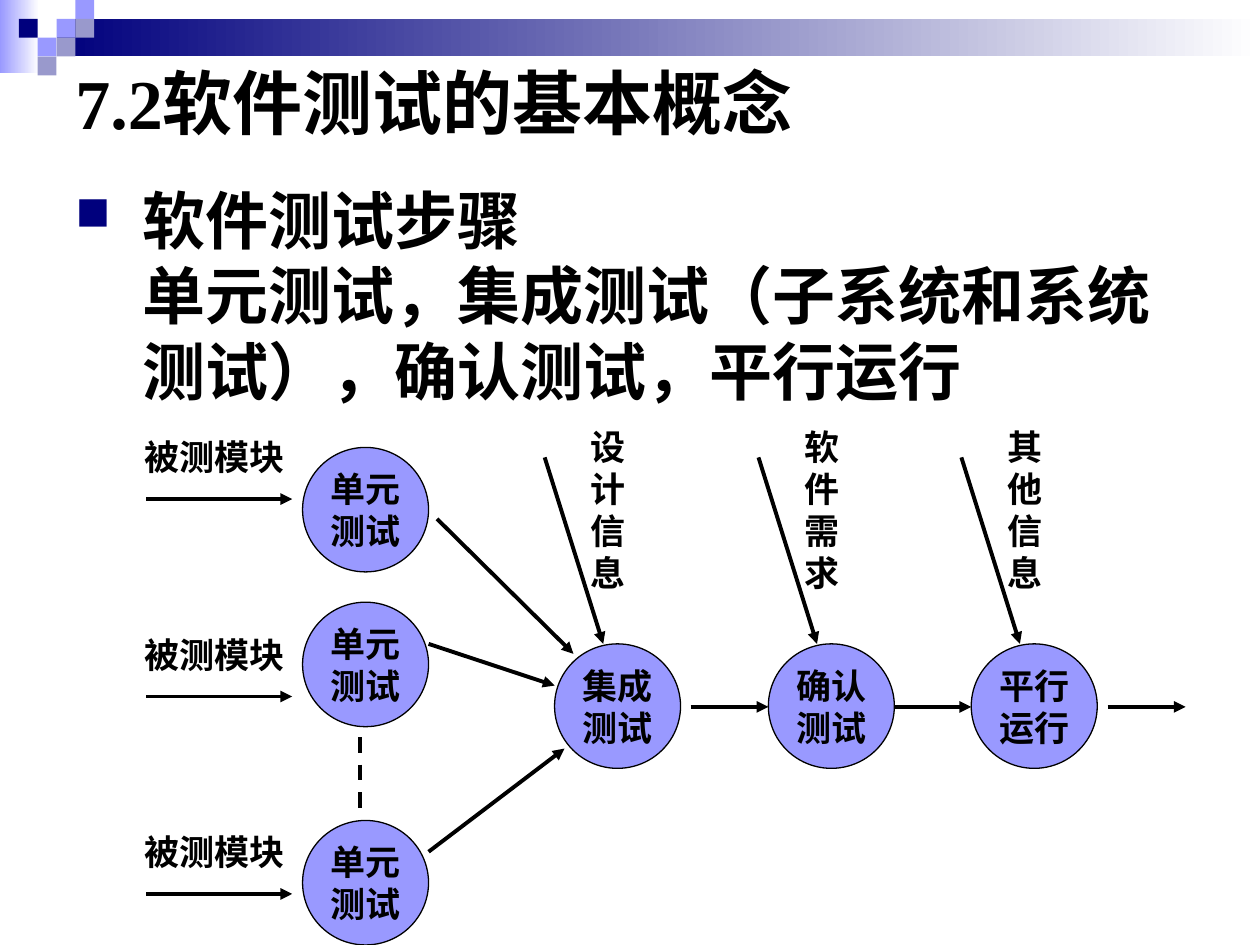
from dataclasses import dataclass

from lxml.etree import SubElement
from pptx import Presentation
from pptx.dml.color import RGBColor as Rgb
from pptx.enum.dml import MSO_LINE as Dash
from pptx.enum.shapes import MSO_CONNECTOR as Link, MSO_SHAPE as Kind
from pptx.enum.text import MSO_ANCHOR as Anchor, PP_ALIGN as Align
from pptx.oxml.ns import qn
from pptx.util import Cm, Pt


@dataclass(frozen=True)
class Theme:
    ink: str = "000000"
    navy: str = "00007D"
    lilac: str = "9999FF"
    haze: str = "9999CC"
    white: str = "FFFFFF"
    serif: str = "Times New Roman"
    sans: str = "DejaVu Sans"
    title: int = 40
    body: int = 36
    label: int = 20
    thin: float = 0.75
    thick: float = 2.25


T = Theme()
TILE = 0.38
WIDE, HIGH = 2.54, 2.51


def color(code):
    return Rgb.from_string(code)


def write(para, text, size, face=T.serif):
    run = para.add_run()
    run.text = text
    font = run.font
    font.size, font.bold, font.name = Pt(size), True, face
    font.color.rgb = color(T.ink)


def center(frame, lines):
    """Put one centred label paragraph per line in the frame."""
    frame.word_wrap = False
    frame.vertical_anchor = Anchor.MIDDLE
    for i, line in enumerate(lines):
        para = frame.add_paragraph() if i else frame.paragraphs[0]
        para.alignment = Align.CENTER
        write(para, line, T.label)


def shape(slide, kind, x, y, w, h):
    item = slide.shapes.add_shape(kind, Cm(x), Cm(y), Cm(w), Cm(h))
    item.shadow.inherit = False
    item.line.fill.background()
    return item


def tile(slide, col, row, code):
    item = shape(slide, Kind.RECTANGLE, col * TILE, row * TILE, TILE, TILE)
    item.fill.solid()
    item.fill.fore_color.rgb = color(code)


def fade(slide, x, y, w, h, code):
    """Draw a bar that runs from a colour to white."""
    fill = shape(slide, Kind.RECTANGLE, x, y, w, h).fill
    fill.gradient()
    fill.gradient_angle = 0
    for stop, hue, spot in zip(fill.gradient_stops, (code, T.white), (0, 1)):
        stop.color.rgb = color(hue)
        stop.position = spot


def circle(slide, x, y, lines):
    item = shape(slide, Kind.OVAL, x, y, WIDE, HIGH)
    item.fill.solid()
    item.fill.fore_color.rgb = color(T.lilac)
    item.line.color.rgb = color(T.ink)
    item.line.width = Pt(T.thin)
    center(item.text_frame, lines)


def line(slide, x1, y1, x2, y2, dash=False):
    """Draw an arrow, or a dashed line without a head."""
    item = slide.shapes.add_connector(
        Link.STRAIGHT, Cm(x1), Cm(y1), Cm(x2), Cm(y2))
    item.line.color.rgb = color(T.ink)
    item.line.width = Pt(T.thick)
    props = item.element.spPr
    if dash:
        item.line.dash_style = Dash.DASH
    else:
        SubElement(props.find(qn("a:ln")), qn("a:tailEnd"), type="triangle")
    SubElement(props, qn("a:effectLst"))


def box(slide, x, y, w, h):
    frame = slide.shapes.add_textbox(Cm(x), Cm(y), Cm(w), Cm(h)).text_frame
    frame.word_wrap = True
    return frame


def bullet(para, indent):
    props = para._p.get_or_add_pPr()
    props.set("marL", str(Cm(indent)))
    props.set("indent", str(-Cm(indent)))
    hue = SubElement(props, qn("a:buClr"))
    SubElement(hue, qn("a:srgbClr"), val=T.navy)
    SubElement(props, qn("a:buSzPct"), val="75000")
    SubElement(props, qn("a:buChar"), char="■")


def banner(slide):
    fade(slide, 0, 0, 0.79, 1.47, T.lilac)
    fade(slide, 1.14, TILE, 24.26, 0.76, T.navy)
    for col, row, code in ((3, 1, T.lilac), (4, 0, T.lilac), (4, 1, T.haze),
                           (2, 2, T.lilac), (1, 1, T.navy), (3, 2, T.haze),
                           (2, 3, T.haze)):
        tile(slide, col, row, code)


def words(slide):
    frame = box(slide, 1.27, 1.27, 22.86, 1.85)
    para = frame.paragraphs[0]
    para.line_spacing, para.space_before = 0.9, Pt(25)
    write(para, "7.2软件测试的基本概念", T.title)

    para = box(slide, 1.27, 3.53, 22.86, 13.61).paragraphs[0]
    para.space_before = Pt(9)
    bullet(para, 1.35)
    write(para, "软件测试步骤", T.body, T.sans)
    para.add_line_break()
    write(para, "单元测试，集成测试（子系统和系统测试），确认测试，平行运行", T.body)


def units(slide):
    """Draw the unit tests, the modules going in and the arrows going out."""
    for i, top in enumerate((9.02, 12.14, 16.54)):
        drop = i * 3.98
        circle(slide, 6.1, top, ("单元", "测试"))
        line(slide, 2.95, 10.06 + drop, 5.89, 10.06 + drop)
        center(box(slide, 2.57, 8.59 + drop, 3.53, 1.24), ["被测模块"])
    line(slide, 7.26, 14.86, 7.26, 16.33, dash=True)
    for ends in ((8.81, 10.46, 11.56, 13.18), (8.64, 12.98, 11.18, 13.82),
                 (8.64, 17.17, 11.38, 15.09)):
        line(slide, *ends)


def stages(slide):
    """Draw the later tests, each with the information it needs."""
    top = 12.98
    for x, name, info in ((11.18, ("集成", "测试"), "设计信息"),
                          (15.49, ("确认", "测试"), "软件需求"),
                          (19.58, ("平行", "运行"), "其他信息")):
        circle(slide, x, top, name)
        line(slide, x - 0.2, 9.22, x + 0.98, top)
        center(box(slide, x + 0.39, 8.18, 1.37, 4.19), info)
    for start, end in ((13.92, 15.49), (18.03, 19.58), (22.33, 23.9)):
        line(slide, start, 14.25, end, 14.25)


def main():
    deck = Presentation()
    deck.slide_width, deck.slide_height = Cm(25.4), Cm(19.05)
    slide = deck.slides.add_slide(deck.slide_layouts[6])
    for draw in (banner, words, units, stages):
        draw(slide)
    deck.save("out.pptx")


if __name__ == "__main__":
    main()
